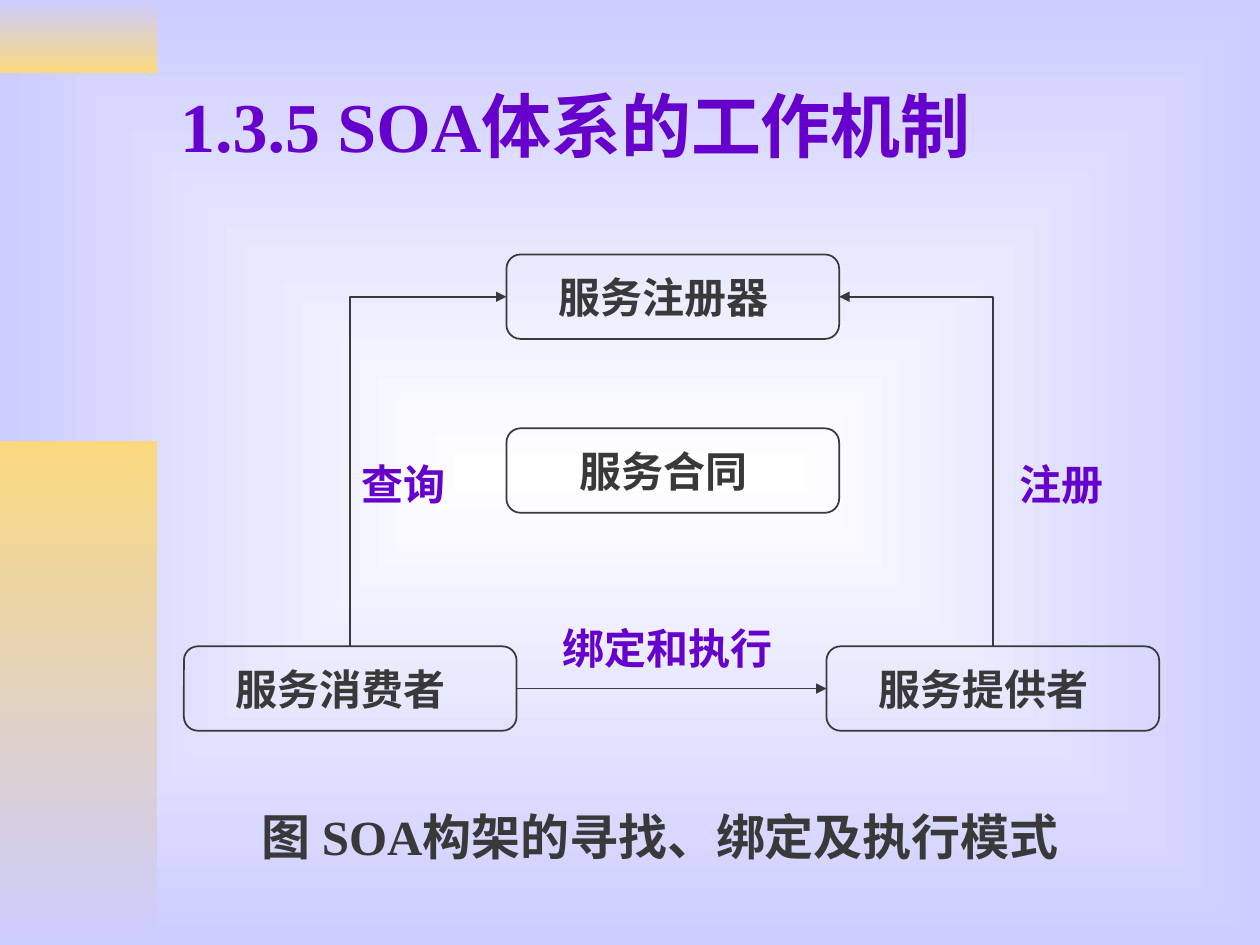
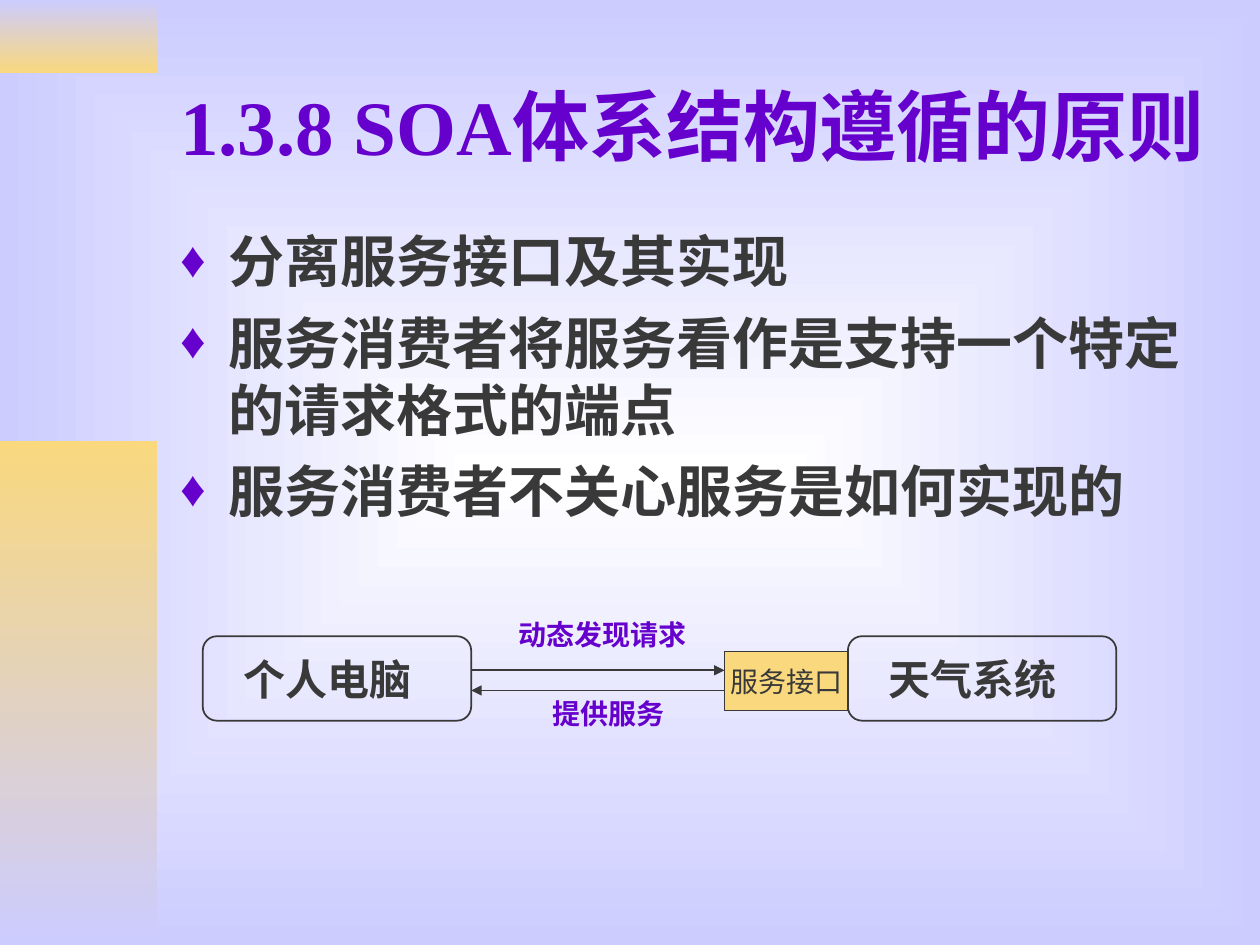
from dataclasses import dataclass

from lxml import etree
from pptx import Presentation
from pptx.dml.color import RGBColor
from pptx.enum import shapes as sh, text as tx
from pptx.oxml import ns
from pptx.util import Inches, Pt

HUES = {"ink": "393939", "accent": "6600CC", "gold": "F9D87E", "mist": "CCCCFF", "white": "FFFFFF"}
FACE = "Times New Roman"
MID = tx.MSO_ANCHOR.MIDDLE
LEFT, CENTER = tx.PP_ALIGN.LEFT, tx.PP_ALIGN.CENTER
TOP_SIDE, LEFT_SIDE, RIGHT_SIDE = 0, 1, 3
INSETS = dict(margin_left=Inches(0.1), margin_right=Inches(0.1),
              margin_top=Inches(0.05), margin_bottom=Inches(0.05))


@dataclass
class Area:
    left: float
    top: float
    width: float
    height: float

    def emu(self) -> list:
        return [Inches(n) for n in (self.left, self.top, self.width, self.height)]


@dataclass
class Style:
    size: float
    hue: str = "ink"
    bold: bool = True
    align: int = LEFT


@dataclass
class Label:
    text: str
    area: Area
    style: Style
    wrap: bool = False


@dataclass
class Band:
    area: Area
    hues: tuple


@dataclass
class Node:
    text: str
    left: float
    top: float


TITLE = Area(1.33, 0.33, 8.5, 1.32)
BODY = Area(1.33, 1.75, 8.5, 2.63)
BANDS = [Band(Area(0, 0, 1.25, 0.58), ("mist", "gold")),
         Band(Area(0, 3.5, 1.25, 4), ("gold", "mist"))]
NODE = Style(24, align=CENTER)
TAG = Style(24, "accent")
NOTE = Style(16, "accent")


def rgb(hue: str) -> RGBColor:
    return RGBColor.from_string(HUES[hue])


def apply(item, **vals) -> None:
    for name, val in vals.items():
        setattr(item, name, val)


def add_tag(root, tag: str, **vals):
    node = etree.SubElement(root, ns.qn(tag))
    for name, val in vals.items():
        node.set(name, str(val))
    return node


def write(frame, lines: list, style: Style, **form) -> None:
    """Fill a text frame with styled paragraphs."""
    apply(frame, **{**INSETS, "word_wrap": True, "auto_size": tx.MSO_AUTO_SIZE.NONE, **form})
    for i, line in enumerate(lines):
        para = frame.add_paragraph() if i else frame.paragraphs[0]
        para.alignment = style.align
        run = para.add_run()
        run.text = line
        apply(run.font, name=FACE, size=Pt(style.size), bold=style.bold)
        run.font.color.rgb = rgb(style.hue)


def place(item, area: Area) -> None:
    apply(item, **dict(zip(("left", "top", "width", "height"), area.emu())))


def blend(fill, hues: tuple) -> None:
    """Set a two-stop gradient."""
    fill.gradient()
    for stop, hue in zip(fill.gradient_stops, hues):
        stop.color.rgb = rgb(hue)


def outline(item) -> None:
    item.line.color.rgb = rgb("ink")
    item.line.width = Pt(1)


def dress(master, slide) -> None:
    """Give the master its background and side bands, built on a slide first."""
    blend(master.background.fill, ("white", "mist"))
    grad = master.element.find(".//" + ns.qn("a:gradFill"))
    grad.remove(grad.find(ns.qn("a:lin")))
    path = add_tag(grad, "a:path", path="rect")
    add_tag(path, "a:fillToRect", l=50000, t=50000, r=50000, b=50000)
    for i, band in enumerate(BANDS):
        item = slide.shapes.add_shape(sh.MSO_SHAPE.RECTANGLE, *band.area.emu())
        item.shadow.inherit = False
        blend(item.fill, band.hues)
        item.fill.gradient_angle = 270
        item.line.fill.background()
        item.element.nvSpPr.cNvPr.set("id", str(101 + i))
        master.shapes.element.insert(2 + i, item.element)


def add_title(slide, text: str, size: float) -> None:
    place(slide.shapes.title, TITLE)
    write(slide.shapes.title.text_frame, [text], Style(size, "accent"), vertical_anchor=MID)


def add_list(slide, lines: list) -> None:
    body = slide.placeholders[1]
    place(body, BODY)
    write(body.text_frame, lines, Style(32))
    for i, para in enumerate(body.text_frame.paragraphs):
        props = para._p.get_or_add_pPr()
        props.set("marL", str(Inches(0.38)))
        props.set("indent", str(-Inches(0.38)))
        add_tag(add_tag(props, "a:buClr"), "a:srgbClr", val=HUES["accent"])
        add_tag(props, "a:buSzPct", val=90000)
        add_tag(props, "a:buFont", typeface=FACE)
        add_tag(props, "a:buChar", char="♦")
        para.space_before = Pt(8 if i else 0)


def add_label(slide, label: Label) -> None:
    box = slide.shapes.add_textbox(*label.area.emu())
    write(box.text_frame, [label.text], label.style, word_wrap=label.wrap)


def add_node(slide, node: Node, width: float):
    item = slide.shapes.add_shape(sh.MSO_SHAPE.ROUNDED_RECTANGLE,
                                  *Area(node.left, node.top, width, 0.67).emu())
    item.shadow.inherit = False
    item.fill.background()
    outline(item)
    write(item.text_frame, [node.text], NODE, vertical_anchor=MID, margin_right=Inches(0.25))
    return item


def finish(line, end: str) -> None:
    """Style a connector and put an arrowhead at one end."""
    outline(line)
    add_tag(line.get_or_add_ln(), end, type="triangle")
    add_tag(line.element.spPr, "a:effectLst")


def join(slide, start, side: int, stop, goal: int, bent: bool = False) -> None:
    kind = sh.MSO_CONNECTOR.ELBOW if bent else sh.MSO_CONNECTOR.STRAIGHT
    line = slide.shapes.add_connector(kind, 0, 0, 0, 0)
    line.begin_connect(start, side)
    line.end_connect(stop, goal)
    if bent:
        line.element.spPr.find(ns.qn("a:prstGeom")).set("prst", "bentConnector2")
    finish(line, "a:headEnd" if bent else "a:tailEnd")


def add_arrow(slide, start: float, stop: float, top: float) -> None:
    line = slide.shapes.add_connector(sh.MSO_CONNECTOR.STRAIGHT, Inches(start), Inches(top),
                                      Inches(stop), Inches(top))
    finish(line, "a:tailEnd")


def draw_cycle(slide) -> None:
    add_title(slide, "1.3.5 SOA体系的工作机制", 40)
    nodes = [Node("服务注册器", 4.02, 2.02), Node("服务合同", 4.02, 3.4),
             Node("服务消费者", 1.46, 5.13), Node("服务提供者", 6.56, 5.13)]
    hub, _, user, maker = [add_node(slide, node, 2.64) for node in nodes]
    join(slide, hub, LEFT_SIDE, user, TOP_SIDE, bent=True)
    join(slide, hub, RIGHT_SIDE, maker, TOP_SIDE, bent=True)
    join(slide, user, RIGHT_SIDE, maker, LEFT_SIDE)
    for label in (
        Label("查询", Area(2.77, 3.59, 0.86, 0.5), TAG),
        Label("注册", Area(7.99, 3.59, 0.86, 0.5), TAG),
        Label("绑定和执行", Area(4.37, 4.89, 1.97, 0.5), TAG, True),
        Label("图 SOA构架的寻找、绑定及执行模式", Area(1.42, 6.35, 7.64, 0.57),
              Style(28, align=CENTER), True),
    ):
        add_label(slide, label)


def draw_rules(slide) -> None:
    add_title(slide, "1.3.8 SOA体系结构遵循的原则", 44)
    add_list(slide, ["分离服务接口及其实现",
                     "服务消费者将服务看作是支持一个特定的请求格式的端点",
                     "服务消费者不关心服务是如何实现的"])
    for node in (Node("个人电脑", 1.61, 5.05), Node("天气系统", 6.73, 5.05)):
        add_node(slide, node, 2.13)
    port = slide.shapes.add_shape(sh.MSO_SHAPE.RECTANGLE, *Area(5.75, 5.17, 0.98, 0.47).emu())
    port.shadow.inherit = False
    port.fill.solid()
    port.fill.fore_color.rgb = rgb("gold")
    outline(port)
    write(port.text_frame, ["服务接口"], Style(16, bold=False, align=CENTER),
          vertical_anchor=MID, word_wrap=False)
    add_arrow(slide, 3.74, 5.75, 5.32)
    add_arrow(slide, 5.75, 3.74, 5.48)
    add_label(slide, Label("动态发现请求", Area(4.02, 4.85, 1.53, 0.37), NOTE))
    add_label(slide, Label("提供服务", Area(4.29, 5.48, 1.08, 0.37), NOTE))


def main() -> None:
    deck = Presentation()
    apply(deck, slide_width=Inches(10), slide_height=Inches(7.5))
    cycle = deck.slides.add_slide(deck.slide_layouts[5])
    rules = deck.slides.add_slide(deck.slide_layouts[1])
    dress(deck.slide_master, cycle)
    draw_cycle(cycle)
    draw_rules(rules)
    deck.save("out.pptx")


if __name__ == "__main__":
    main()
